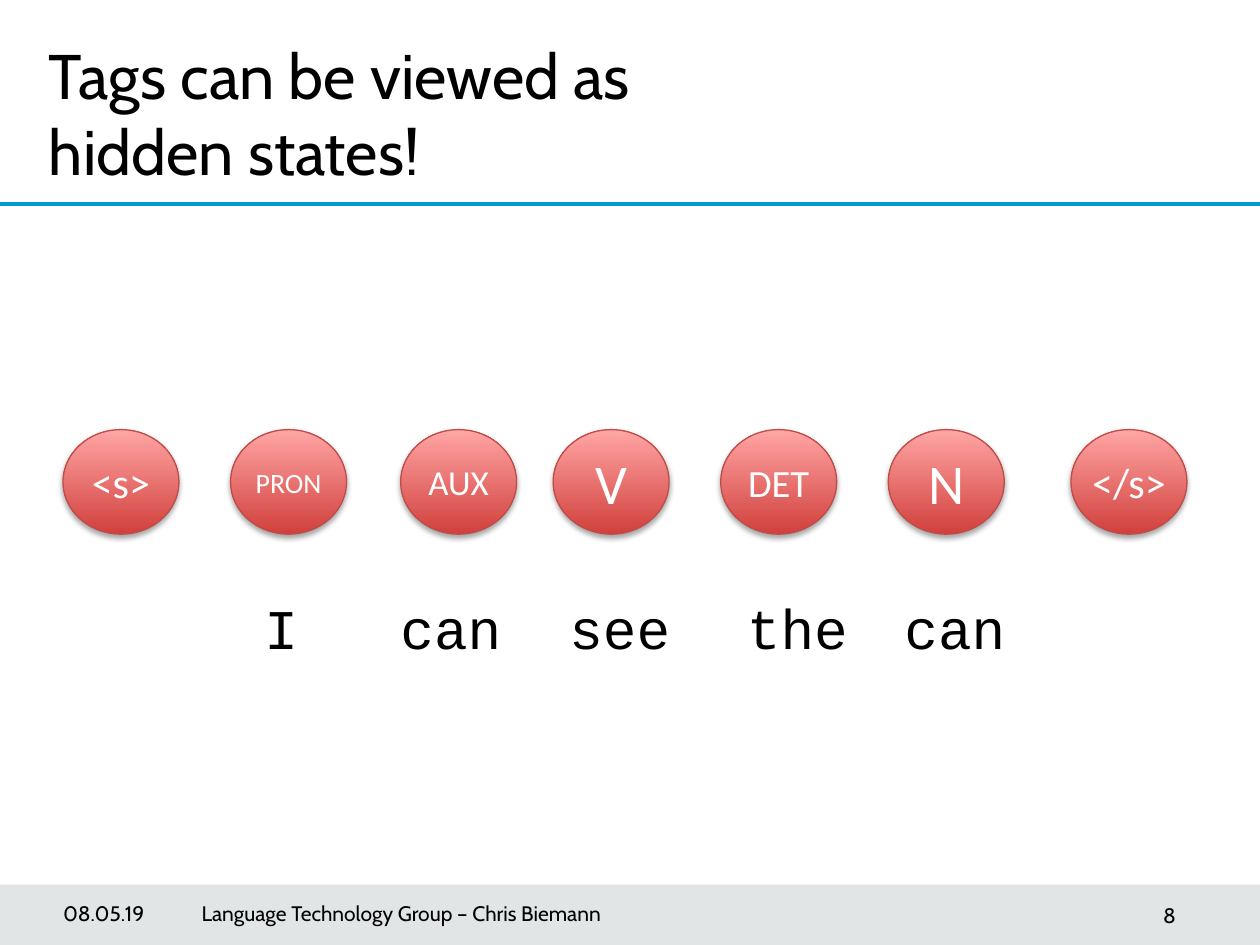
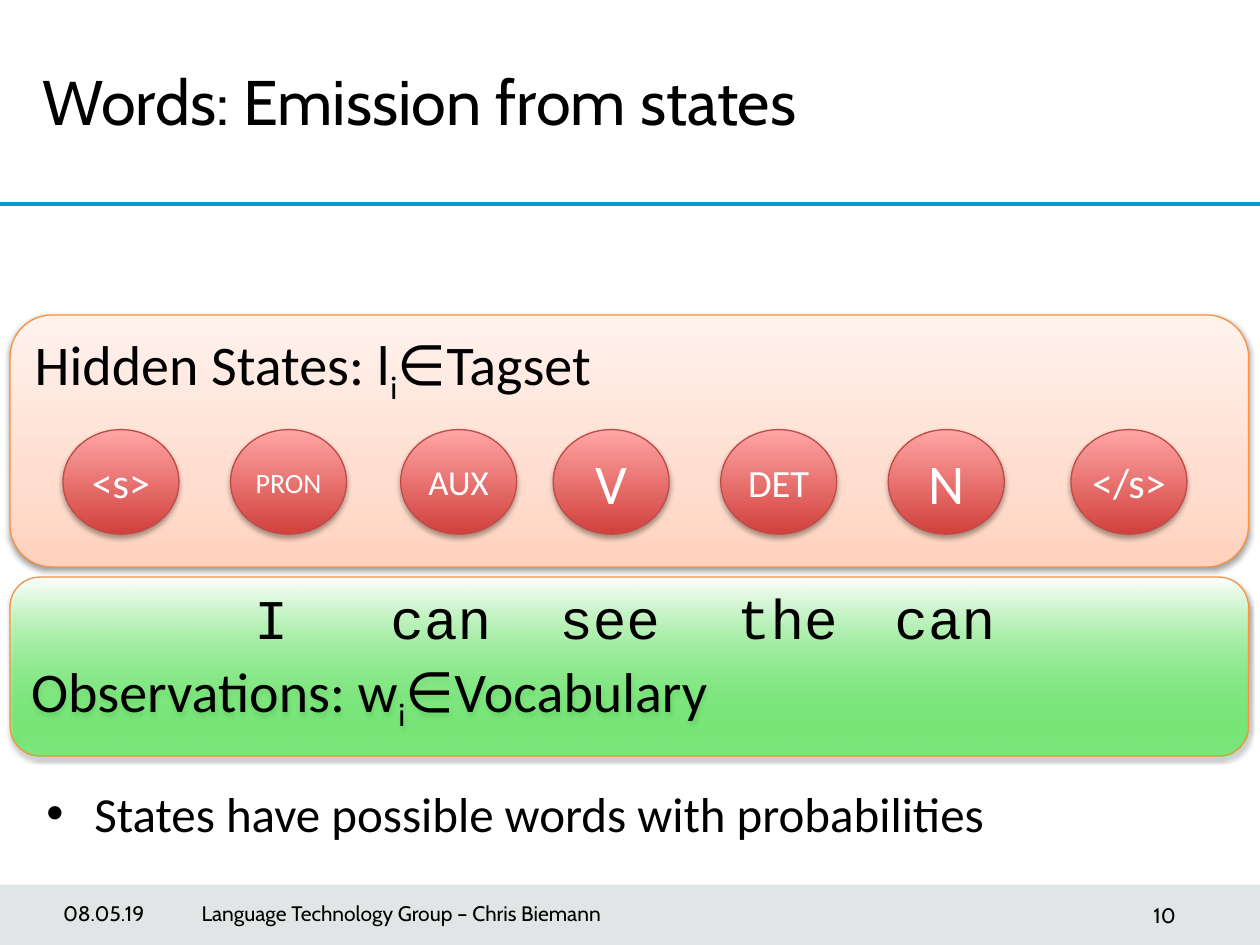
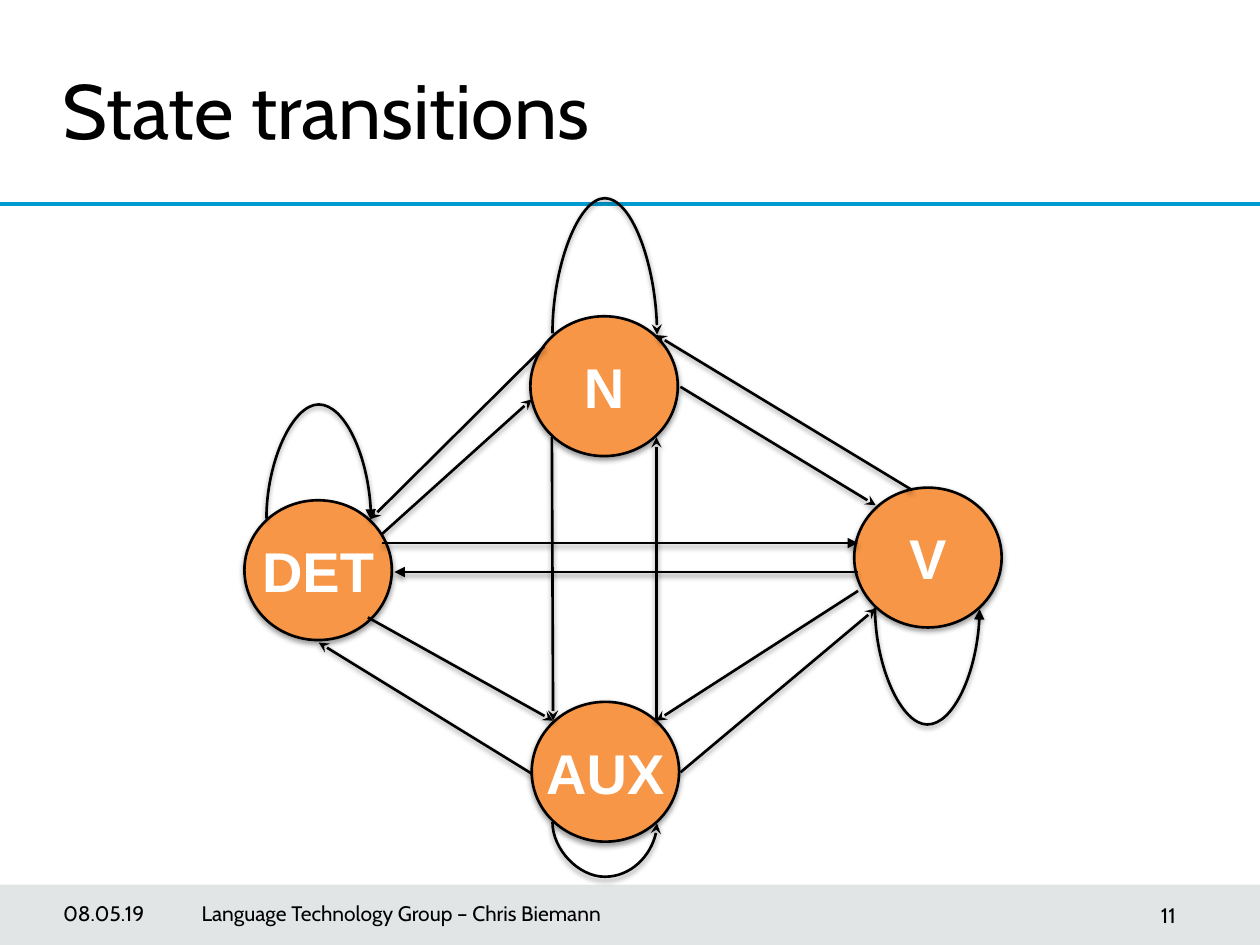
from lxml import etree
from pptx import Presentation
from pptx.dml.color import RGBColor
from pptx.enum.shapes import MSO_CONNECTOR, MSO_SHAPE
from pptx.enum.text import MSO_ANCHOR, PP_ALIGN
from pptx.oxml.ns import qn
from pptx.util import Inches, Pt

OVAL, ROUND, RECT = MSO_SHAPE.OVAL, MSO_SHAPE.ROUNDED_RECTANGLE, MSO_SHAPE.RECTANGLE
LINE, CURVE = MSO_CONNECTOR.STRAIGHT, MSO_CONNECTOR.CURVE
LEFT, MID, RIGHT = PP_ALIGN.LEFT, PP_ALIGN.CENTER, PP_ALIGN.RIGHT
TOP, CORE = MSO_ANCHOR.TOP, MSO_ANCHOR.MIDDLE

COLS, ROWS = 10, 7.5
CELL = Inches(1)
HEX = {
    "ink": "000000", "white": "FFFFFF", "slate": "3B515B", "rule": "009CD1",
    "red": "D1403C", "pink": "FFA6A5", "rim": "BF4C48", "edge": "F69240",
    "node": "F79646", "green": "00FF00",
    "peach": "FFD2BD", "blush": "FFDED0", "cream": "FFF2ED",
}
RED = [(0, "red", 100), (100, "pink", 100)]
GREEN = [(0, "green", 41), (100, "white", 100)]
PEACH = [(0, "peach", 100), (35, "blush", 100), (100, "cream", 100)]

TAGS = [("<s>", 0.5, 24), ("PRON", 1.83, 16), ("AUX", 3.18, 20), ("V", 4.39, 32),
        ("DET", 5.72, 22), ("N", 7.05, 32), ("</s>", 8.5, 24)]
WORDS = [("I", 2, 0.47), ("can", 3.08, 1.01), ("see", 4.42, 1.01),
         ("the", 5.83, 1.01), ("can", 7.08, 1.01)]
NODES = [("DET", 1.94, 3.97), ("V", 6.78, 3.87), ("N", 4.21, 2.51), ("AUX", 4.22, 5.57)]
MOVES = [
    (3.03, 4.24, 4.22, 3.17), (5.4, 3.07, 6.95, 4.01), (5.4, 6.13, 6.95, 4.83),
    (4.38, 3.47, 4.39, 5.72), (5.21, 5.72, 5.21, 3.47), (2.92, 4.9, 4.39, 5.72),
    (4.22, 6.14, 2.53, 5.1), (4.32, 2.75, 2.94, 4.12), (7.24, 3.89, 5.21, 2.66),
    (6.81, 4.69, 5.21, 5.72),
]
LEVEL = [(3.03, 4.31, 6.81, 4.31), (6.81, 4.54, 3.13, 4.54)]
LOOPS = [(4.8, 2.65, -1.09, "stealth"), (4.8, 6.53, 0.44, "stealth"),
         (2.53, 4.12, -0.92, "triangle"), (7.36, 4.83, 0.94, "triangle")]


def grid(*spans):
    return [int(span * CELL) for span in spans]


def rgb(name):
    return RGBColor.from_string(HEX[name])


def node(root, tag, **attrs):
    return etree.SubElement(root, qn(tag), {k: str(v) for k, v in attrs.items()})


def tint(root, name, alpha):
    color = node(root, "a:srgbClr", val=HEX[name])
    if alpha < 100:
        node(color, "a:alpha", val=alpha * 1000)


def shade(root, alpha, dist):
    cast = node(root, "a:outerShdw", blurRad=Pt(3.1), dist=Pt(dist),
                dir=5400000, rotWithShape=0)
    tint(cast, "ink", alpha)


def blend(shape, stops):
    shape.fill.background()
    props = shape.element.spPr
    fill = etree.Element(qn("a:gradFill"), rotWithShape="1")
    items = node(fill, "a:gsLst")
    for pos, name, alpha in stops:
        tint(node(items, "a:gs", pos=pos * 1000), name, alpha)
    node(fill, "a:lin", ang=16200000, scaled=0)
    props.replace(props.find(qn("a:noFill")), fill)


def write(shape, words, size=32, font="Calibri", color="ink", align=LEFT,
          anchor=TOP, pad=(0.1, 0.05, 0.1, 0.05), bold=False, wrap=True):
    frame = shape.text_frame
    frame.word_wrap = wrap
    frame.vertical_anchor = anchor
    (frame.margin_left, frame.margin_top,
     frame.margin_right, frame.margin_bottom) = grid(*pad)
    para = frame.paragraphs[0]
    para.alignment = align
    for row, line in enumerate(words.split("\n")):
        if row:
            para.add_line_break()
        for turn, part in enumerate(line.split("~")):
            run = para.add_run()
            run.text = part
            run.font.size = Pt(size)
            run.font.name = font
            run.font.bold = bold
            run.font.color.rgb = rgb(color)
            if turn % 2:
                run.font._element.set("baseline", "-25000")
    return para


def label(slide, at, words, **form):
    return write(slide.shapes.add_textbox(*grid(*at)), words, **form)


def form(slide, kind, at, fill, edge=None, width=0.75, cast=None):
    shape = slide.shapes.add_shape(kind, *grid(*at))
    if isinstance(fill, list):
        blend(shape, fill)
    else:
        shape.fill.solid()
        shape.fill.fore_color.rgb = rgb(fill)
    if edge:
        shape.line.color.rgb = rgb(edge)
        shape.line.width = Pt(width)
    else:
        shape.line.fill.background()
    shape.shadow.inherit = False
    if cast:
        shade(shape.element.spPr.find(qn("a:effectLst")), *cast)
    return shape


def link(slide, ends, kind=LINE, color="ink", width=1.5, head=None):
    wire = slide.shapes.add_connector(kind, *grid(*ends))
    wire.line.color.rgb = rgb(color)
    wire.line.width = Pt(width)
    props = wire.element.spPr
    if head:
        node(props.find(qn("a:ln")), "a:tailEnd", type=head)
    glow = node(props, "a:effectLst")
    if head:
        shade(glow, 38, 1.6)
    return wire


def loop(slide, x, y, rise, head):
    thin, span = 0.01, 0.83
    side = thin / 2 if rise < 0 else -thin / 2
    drop = span / 2 if rise < 0 else -span / 2
    wire = link(slide, (x - side, y + drop, x + side, y - drop), CURVE, head=head)
    props = wire.element.spPr
    props.find(qn("a:xfrm")).set("rot", "5400000" if rise < 0 else "16200000")
    shape = props.find(qn("a:prstGeom"))
    guides = shape.find(qn("a:avLst"))
    if guides is None:
        guides = node(shape, "a:avLst")
    node(guides, "a:gd", name="adj1", fmla=f"val {round(rise / thin * 100000)}")


def page(deck, title, number, x=0.29, y=0.45, size=36):
    slide = deck.slides.add_slide(deck.slide_layouts[6])
    band = form(slide, RECT, (0, 7.02, COLS, ROWS - 7.02), "slate")
    node(band.element.spPr.find(".//" + qn("a:srgbClr")), "a:alpha", val=15000)
    link(slide, (0, 1.62, COLS, 1.62), color="rule", width=2)
    label(slide, (x, y, 7.52, 0.92), title, size=size, font="Cabin")
    foot = dict(size=12, font="Cabin", anchor=CORE)
    flush = (0, 0.05, 0.1, 0.05)
    label(slide, (0.5, 7.05, 0.99, 0.4), "08.05.19", pad=flush, **foot)
    label(slide, (1.6, 7.05, 4.92, 0.4), "Language Technology Group – Chris Biemann",
          pad=flush, **foot)
    label(slide, (7.35, 7.01, 2.08, 0.5), number, align=RIGHT, **foot)
    return slide


def chain(slide, shift=0):
    for word, x, width in WORDS:
        label(slide, (x - shift, 4.66 - shift, width, 0.64), word,
              font="Courier New", wrap=False)
    for tag, x, size in TAGS:
        ball = form(slide, OVAL, (x, 3.41, 0.92, 0.83), RED, "rim", cast=(35, 1.8))
        write(ball, tag, size=size, color="white", align=MID, anchor=CORE, pad=(0,) * 4)


def panel(slide, y, height, fill, words, top):
    box = form(slide, ROUND, (0.08, y, 9.83, height), fill, "edge", cast=(38, 1.6))
    write(box, words, pad=(0.1, top, 0.1, 0.05))


def bullet(slide, at, words):
    para = label(slide, at, words, size=28)
    props = para._p.get_or_add_pPr()
    props.set("marL", str(Inches(0.38)))
    props.set("indent", str(-Inches(0.38)))
    node(props, "a:buFont", typeface="Arial")
    node(props, "a:buChar", char="•")


def graph(slide):
    for tag, x, y in NODES:
        ball = form(slide, OVAL, (x, y, 1.17, 1.11), "node", "ink", 1.5, (38, 1.6))
        write(ball, tag, font="Arial", color="white", align=MID, anchor=CORE,
              bold=True, wrap=False)
    for ends in MOVES:
        link(slide, ends, head="stealth")
    for ends in LEVEL:
        link(slide, ends, head="triangle")
    for spot in LOOPS:
        loop(slide, *spot)


def main():
    deck = Presentation()
    deck.slide_width, deck.slide_height = grid(COLS, ROWS)

    chain(page(deck, "Tags can be viewed as\nhidden states!", "8", y=0.24))

    slide = page(deck, "Words: Emission from states", "10", x=0.24)
    panel(slide, 4.58, 1.42, GREEN, "Observations: w~i~∈Vocabulary", 0.56)
    bullet(slide, (0.27, 6.17, 9.45, 0.81),
           "States have possible words with probabilities")
    panel(slide, 2.5, 2, PEACH, "Hidden States: l~i~∈Tagset", 0.02)
    chain(slide, 0.08)

    graph(page(deck, "State transitions", "11", x=0.4, size=44))
    deck.save("out.pptx")


if __name__ == "__main__":
    main()
